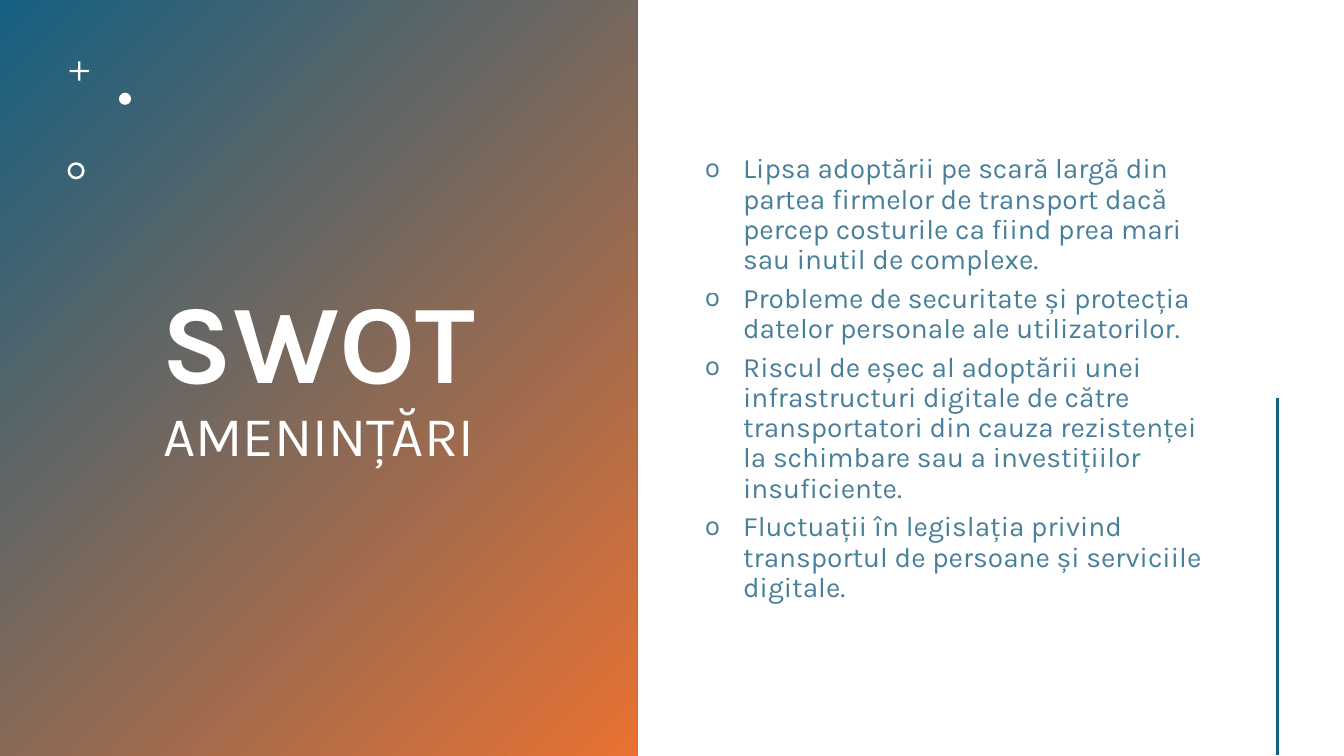
from dataclasses import dataclass

from lxml import etree
from pptx import Presentation
from pptx.dml.color import RGBColor
from pptx.enum.shapes import MSO_CONNECTOR, MSO_SHAPE
from pptx.enum.text import MSO_ANCHOR, MSO_AUTO_SIZE, PP_ALIGN
from pptx.oxml.ns import qn
from pptx.util import Emu, Pt

RECT, CROSS = MSO_SHAPE.RECTANGLE, MSO_SHAPE.CROSS
OVAL, DONUT = MSO_SHAPE.OVAL, MSO_SHAPE.DONUT
STRAIGHT = MSO_CONNECTOR.STRAIGHT
MIDDLE, NO_FIT = MSO_ANCHOR.MIDDLE, MSO_AUTO_SIZE.NONE
CENTER, LEFT = PP_ALIGN.CENTER, PP_ALIGN.LEFT
EMU_PER_PX = 9144


@dataclass(frozen=True)
class Theme:
    font: str = "Karla"
    blue: RGBColor = RGBColor(0x15, 0x60, 0x82)
    orange: RGBColor = RGBColor(0xE9, 0x71, 0x32)
    white: RGBColor = RGBColor(0xFF, 0xFF, 0xFF)
    body: RGBColor = RGBColor(0x1A, 0x60, 0x81)
    body_opacity: int = 80
    heading_size: int = 80
    subheading_size: int = 40
    body_size: int = 20
    rule_width: int = 2


@dataclass(frozen=True)
class Box:
    x: int
    y: int
    w: int
    h: int


@dataclass(frozen=True)
class Ornament:
    kind: MSO_SHAPE
    box: Box
    adjustment: float | None = None


THEME = Theme()
PANEL = Box(0, 0, 632, 750)
TITLE = Box(97, 48, 438, 653)
BODY = Box(689, 57, 522, 638)
BULLET_INDENT = 38
ORNAMENTS = [
    Ornament(CROSS, Box(69, 61, 19, 19), 0.44),
    Ornament(OVAL, Box(118, 92, 12, 12)),
    Ornament(DONUT, Box(67, 161, 17, 17), 0.15),
]
THREATS = [
    "Lipsa adoptării pe scară largă din partea firmelor de transport dacă "
    "percep costurile ca fiind prea mari sau inutil de complexe.",
    "Probleme de securitate și protecția datelor personale ale utilizatorilor.",
    "Riscul de eșec al adoptării unei infrastructuri digitale de către "
    "transportatori din cauza rezistenței la schimbare sau a investițiilor "
    "insuficiente.",
    "Fluctuații în legislația privind transportul de persoane și serviciile "
    "digitale.",
]


def px(n: int) -> Emu:
    return Emu(n * EMU_PER_PX)


def edges(box: Box) -> tuple[Emu, Emu, Emu, Emu]:
    return px(box.x), px(box.y), px(box.w), px(box.h)


def set_attrs(target, **values) -> None:
    for name, value in values.items():
        setattr(target, name, value)


def place_text(sp, box: Box):
    x, y, w, h = edges(box)
    set_attrs(sp, left=x, top=y, width=w, height=h)
    tf = sp.text_frame
    set_attrs(tf, word_wrap=True, auto_size=NO_FIT, vertical_anchor=MIDDLE)
    return tf


def format_paragraph(p, alignment: PP_ALIGN) -> None:
    set_attrs(p, alignment=alignment, line_spacing=0.9,
              space_before=Pt(0), space_after=Pt(6))


def add_run(p, text: str, size: int, color: RGBColor, bold: bool = False):
    r = p.add_run()
    r.text = text
    set_attrs(r.font, name=THEME.font, size=Pt(size), bold=bold)
    r.font.color.rgb = color
    return r


def add_bullet(p) -> None:
    pPr = p._p.get_or_add_pPr()
    indent = px(BULLET_INDENT)
    pPr.set("marL", str(indent))
    pPr.set("indent", str(-indent))
    etree.SubElement(pPr, qn("a:buFont")).set("typeface", THEME.font)
    etree.SubElement(pPr, qn("a:buChar")).set("char", "o")


def set_opacity(r, percent: int) -> None:
    color = r._r.find(".//" + qn("a:srgbClr"))
    etree.SubElement(color, qn("a:alpha")).set("val", str(percent * 1000))


def add_panel(s) -> None:
    """Add the gradient panel behind everything else."""
    sp = s.shapes.add_shape(RECT, *edges(PANEL))
    sp.shadow.inherit = False
    sp.line.fill.background()
    sp.fill.gradient()
    sp.fill.gradient_angle = 315
    colors = (THEME.blue, THEME.orange)
    for position, (stop, color) in enumerate(zip(sp.fill.gradient_stops, colors)):
        stop.position = position
        stop.color.rgb = color
    s.shapes._spTree.insert(2, sp._element)


def add_title(s) -> None:
    p = place_text(s.shapes.title, TITLE).paragraphs[0]
    format_paragraph(p, CENTER)
    add_run(p, "SWOT ", THEME.heading_size, THEME.white, bold=True)
    add_run(p, "AMENINȚĂRI", THEME.subheading_size, THEME.white)


def add_threats(s) -> None:
    tf = place_text(s.placeholders[1], BODY)
    for i, threat in enumerate(THREATS):
        p = tf.add_paragraph() if i else tf.paragraphs[0]
        format_paragraph(p, LEFT)
        add_bullet(p)
        r = add_run(p, threat, THEME.body_size, THEME.body)
        set_opacity(r, THEME.body_opacity)


def add_ornaments(s) -> None:
    group = s.shapes.add_group_shape()
    for ornament in ORNAMENTS:
        sp = group.shapes.add_shape(ornament.kind, *edges(ornament.box))
        sp.shadow.inherit = False
        sp.fill.solid()
        sp.fill.fore_color.rgb = THEME.white
        sp.line.fill.background()
        if ornament.adjustment is not None:
            sp.adjustments[0] = ornament.adjustment


def add_rule(s) -> None:
    rule = s.shapes.add_connector(STRAIGHT, px(1267), px(395), px(1267), px(749))
    rule.line.color.rgb = THEME.blue
    rule.line.width = Pt(THEME.rule_width)
    etree.SubElement(rule._element.spPr, qn("a:effectLst"))


def main() -> None:
    prs = Presentation()
    set_attrs(prs, slide_width=px(1333), slide_height=px(750))
    s = prs.slides.add_slide(prs.slide_layouts[1])
    add_panel(s)
    add_title(s)
    add_ornaments(s)
    add_threats(s)
    add_rule(s)
    prs.save("out.pptx")


if __name__ == "__main__":
    main()
